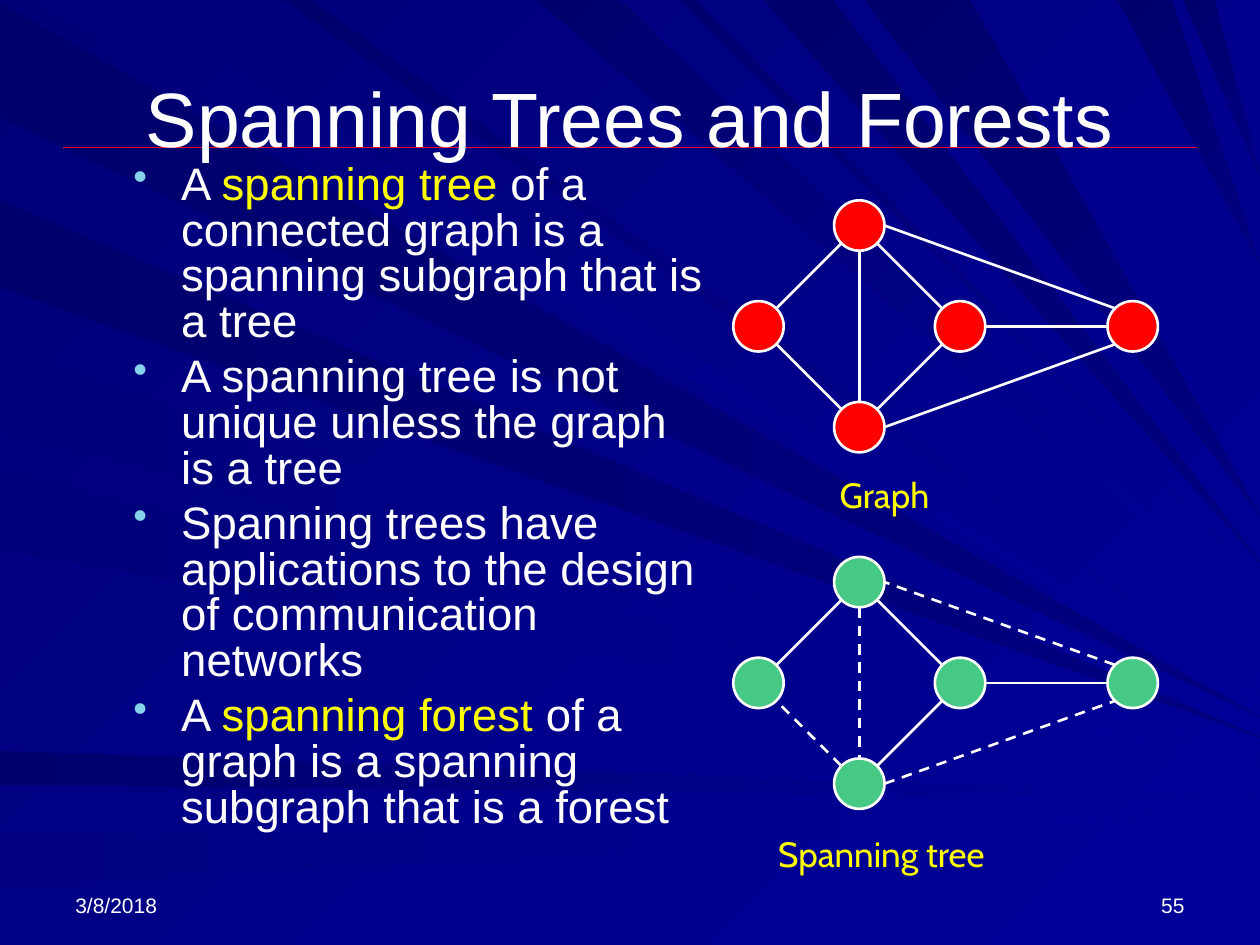
"""Build the slide on spanning trees and forests."""
from lxml import etree
from pptx import Presentation
from pptx import util as u
from pptx.dml.color import RGBColor as Rgb
from pptx.enum import dml, shapes, text
from pptx.oxml.ns import qn

THEME = dict(white="FFFFFF", gold="FFFF00", rule="EF0129", dot="86D1EC",
             red="FF0000", green="45C984", dark="000078", blue="000099",
             deep="00006D", navy="000080", dusk="00007B",
             sans="Arial", label="Cabin", title=44, body=26, tag=20, foot=12)
COLS, ROWS = 1000, 750
CELL = u.Inches(10) // COLS

deck = Presentation()
deck.slide_width, deck.slide_height = COLS * CELL, ROWS * CELL
slide = deck.slides.add_slide(deck.slide_layouts[6])
draw = slide.shapes


def write(paras, box, size, font=THEME["sans"], color=THEME["white"], align="LEFT",
          anchor="TOP", bullet=False, lead=None):
    """Write paragraphs, each a list of runs; odd runs are in gold."""
    frame = draw.add_textbox(*[n * CELL for n in box]).text_frame
    frame.word_wrap = True
    frame.vertical_anchor = getattr(text.MSO_ANCHOR, anchor)
    for i, runs in enumerate(paras):
        para = frame.paragraphs[0] if i == 0 else frame.add_paragraph()
        if bullet:
            props = para._p.get_or_add_pPr()
            props.set("marL", str(38 * CELL))
            props.set("indent", str(-38 * CELL))
            tint = etree.SubElement(props, qn("a:buClr"))
            etree.SubElement(tint, qn("a:srgbClr"), val=THEME["dot"])
            etree.SubElement(props, qn("a:buSzPct"), val="90000")
            etree.SubElement(props, qn("a:buChar"), char="•")
            if i:
                para.space_before = u.Pt(size * 0.2)
        if lead:
            para.line_spacing = lead
        para.alignment = getattr(text.PP_ALIGN, align)
        for j, words in enumerate(runs):
            run = para.add_run()
            run.text = words
            run.font.size, run.font.name = u.Pt(size), font
            run.font.color.rgb = Rgb.from_string(THEME["gold"] if j % 2 else color)


def link(start, end, color=THEME["white"], width=1.5, dash=False):
    """Draw a straight line between two grid points."""
    line = draw.add_connector(shapes.MSO_CONNECTOR.STRAIGHT,
                              *[round(n * CELL) for n in (*start, *end)])
    line.line.color.rgb = Rgb.from_string(color)
    line.line.width = u.Pt(width)
    if dash:
        line.line.dash_style = dml.MSO_LINE.DASH
    etree.SubElement(line._element.spPr, qn("a:effectLst"))


# Rays run from a stretch of the left or top edge to a height on the right edge
LEFT = [(2, 93, "deep", "navy", 569), (159, 228, "deep", "navy", 585),
        (278, 342, "dusk", "blue", 600), (374, 437, "dusk", "blue", 606),
        (596, 623, "deep", "blue", 632), (665, 704, "navy", "blue", 645)]
TOP = [(26, 101, "dusk", "blue", 562), (225, 247, "deep", "blue", 550),
       (426, 492, "deep", "blue", 493), (540, 552, "deep", "blue", 462),
       (606, 661, "deep", "navy", 446), (686, 770, "deep", "navy", 409),
       (887, 930, "deep", "navy", 210), (939, 964, "deep", "navy", 140)]
fills = [(slide.background.fill, "dark", "blue", 45)]
for rays, dx, dy, angle in ((LEFT, 0, 1, 0), (TOP, 1, 0, 45)):
    for near, far, first, last, tip in rays:
        pen = draw.build_freeform(near * dx, near * dy, scale=CELL)
        pen.add_line_segments([(COLS, tip), (far * dx, far * dy)], close=True)
        ray = pen.convert_to_shape()
        ray.shadow.inherit = False
        ray.line.fill.background()
        fills.append((ray.fill, first, last, angle))
for fill, first, last, angle in fills:
    fill.gradient()
    fill.gradient_angle = 360 - angle
    for stop, tone in zip(fill.gradient_stops, (first, last)):
        stop.color.rgb = Rgb.from_string(THEME[tone])

link((50, 117), (950, 117), THEME["rule"], 0.75)
write([["3/8/2018"]], (50, 683, 233, 50), THEME["foot"], anchor="BOTTOM")
write([["55"]], (717, 683, 233, 50), THEME["foot"], align="RIGHT", anchor="BOTTOM")
write([["Spanning Trees and Forests"]], (50, 30, 900, 125), THEME["title"],
      align="CENTER", anchor="MIDDLE")
write([["A ", "spanning tree", " of a connected graph is a spanning subgraph that is a tree"],
       ["A spanning tree is not unique unless the graph is a tree"],
       ["Spanning trees have applications to the design of communication networks"],
       ["A ", "spanning forest", " of a graph is a spanning subgraph that is a forest"]],
      (96, 125, 472, 464), THEME["body"], bullet=True, lead=0.84)

RAD, STEP, DIAG = 20, 80, 0.72
NODES = dict(left=(602, 0), top=(682, -STEP), low=(682, STEP), mid=(762, 0), right=(899, 0))
SIDES = dict(n=(0, -1), s=(0, 1), e=(1, 0), w=(-1, 0), nw=(-DIAG, -DIAG),
             ne=(DIAG, -DIAG), sw=(-DIAG, DIAG), se=(DIAG, DIAG))
# Each edge: node and side at both ends, and whether it is in the tree
EDGES = [("top", "sw", "left", "ne", True), ("low", "nw", "left", "se", False),
         ("low", "ne", "mid", "sw", True), ("top", "se", "mid", "nw", True),
         ("top", "s", "low", "n", False), ("mid", "e", "right", "w", True),
         ("low", "e", "right", "sw", False), ("right", "nw", "top", "e", False)]
GRAPHS = [("Graph", (546, 371, 312, 43), 259, THEME["red"], False),
          ("Spanning tree", (500, 656, 399, 43), 542, THEME["green"], True)]
for name, box, axis, color, tree in GRAPHS:
    write([[name]], box, THEME["tag"], THEME["label"], THEME["gold"], "CENTER")
    for x, y in NODES.values():
        node = draw.add_shape(shapes.MSO_SHAPE.OVAL, (x - RAD) * CELL,
                              (axis + y - RAD) * CELL, 2 * RAD * CELL, 2 * RAD * CELL)
        node.shadow.inherit = False
        node.fill.solid()
        node.fill.fore_color.rgb = Rgb.from_string(color)
        node.line.color.rgb = Rgb.from_string(THEME["white"])
        node.line.width = u.Pt(1.5)
    for a, out, b, into, kept in EDGES:
        ends = [(NODES[n][0] + RAD * SIDES[s][0], axis + NODES[n][1] + RAD * SIDES[s][1])
                for n, s in ((a, out), (b, into))]
        link(*ends, dash=tree and not kept)

deck.save("out.pptx")
